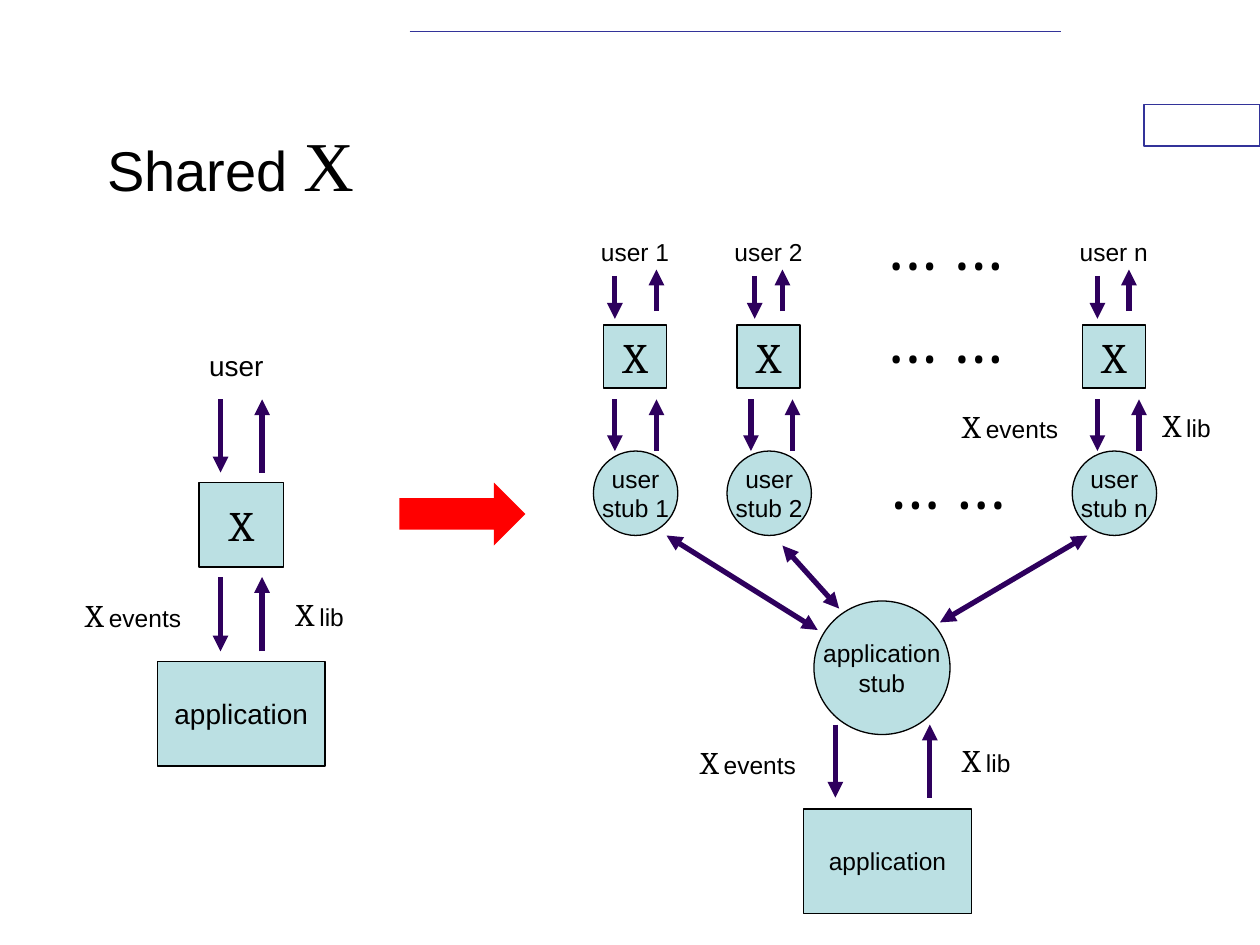
"""Build the Shared X slide: one user beside many users of one application."""
import pptx
import pptx.util
import pptx.dml.color
import pptx.enum.shapes
import pptx.enum.text
import pptx.oxml.xmlchemy

Inches = pptx.util.Inches
RGBColor = pptx.dml.color.RGBColor
Shape = pptx.enum.shapes.MSO_SHAPE
Align = pptx.enum.text.PP_ALIGN
Anchor = pptx.enum.text.MSO_ANCHOR
Element = pptx.oxml.xmlchemy.OxmlElement

BLACK = RGBColor(0x00, 0x00, 0x00)
WHITE = RGBColor(0xFF, 0xFF, 0xFF)
TEAL = RGBColor(0xBB, 0xE0, 0xE3)
NAVY = RGBColor(0x33, 0x33, 0x99)
PLUM = RGBColor(0x2E, 0x00, 0x5D)
RED = RGBColor(0xFF, 0x00, 0x00)


def style(font, size, face):
    """Set size, face and black on a font."""
    font.size = pptx.util.Pt(size)
    font.name = face
    font.color.rgb = BLACK


def write(frame, text, size, face, align=Align.CENTER):
    """Write plain text in one font without wrapping."""
    frame.word_wrap = False
    frame.text = text
    for para in frame.paragraphs:
        para.alignment = align
        style(para.font, size, face)


def blend(para, parts):
    """Add runs of differing fonts to a paragraph."""
    for text, size, face in parts:
        run = para.add_run()
        run.text = text
        style(run.font, size, face)


def solid(shapes, kind, box, fill, line=None):
    """Add a filled shape with an optional thin outline."""
    shape = shapes.add_shape(kind, *map(Inches, box))
    shape.shadow.inherit = False
    shape.fill.solid()
    shape.fill.fore_color.rgb = fill
    if line is None:
        shape.line.fill.background()
    else:
        shape.line.color.rgb = line
        shape.line.width = pptx.util.Pt(0.75)
    return shape


def node(shapes, kind, box, text, size=14, face="Arial"):
    """Add a teal shape with centred text."""
    frame = solid(shapes, kind, box, TEAL, BLACK).text_frame
    frame.vertical_anchor = Anchor.MIDDLE
    write(frame, text, size, face)


def area(shapes, box):
    """Add a text box that fits its text and return its frame."""
    frame = shapes.add_textbox(*map(Inches, box)).text_frame
    frame.word_wrap = False
    frame.auto_size = pptx.enum.text.MSO_AUTO_SIZE.SHAPE_TO_FIT_TEXT
    return frame


def label(shapes, box, text, size=14):
    """Add a centred label."""
    write(area(shapes, box), text, size, "Arial")


def flow(shapes, left, top, word, width):
    """Add a label naming what X sends or receives."""
    para = area(shapes, (left, top, width, 0.4)).paragraphs[0]
    blend(para, [("X", 18, "Cambria"), (" ", 14, "Cambria"), (word, 14, "Arial")])


def dots(shapes, left, top):
    """Add the dots that stand for further users."""
    frame = area(shapes, (left, top, 1.45, 0.43))
    write(frame, "… …", 40, "Cambria", Align.LEFT)
    frame.paragraphs[0].line_spacing = 0.5


def rule(shapes, start, end, color, width, ends=()):
    """Add a straight line with arrowheads at the named ends."""
    kind = pptx.enum.shapes.MSO_CONNECTOR.STRAIGHT
    line = shapes.add_connector(kind, *map(Inches, start + end))
    line.line.color.rgb = color
    line.line.width = pptx.util.Pt(width)
    props = line._element.spPr
    stroke = props.get_or_add_ln()
    for name in ends:
        tip = Element(f"a:{name}")
        tip.set("type", "triangle")
        stroke.append(tip)
    props.append(Element("a:effectLst"))


def arrow(shapes, start, end):
    """Add a one-way arrow."""
    rule(shapes, start, end, PLUM, 3, ["tailEnd"])


def link(shapes, start, end):
    """Add a two-way arrow."""
    rule(shapes, start, end, PLUM, 3, ["headEnd", "tailEnd"])


def pair(shapes, down, rise, top, base):
    """Add a down arrow and an up arrow of equal length."""
    arrow(shapes, (down, top), (down, base))
    arrow(shapes, (rise, base), (rise, top))


def single(shapes):
    """Draw one user with one application."""
    label(shapes, (1.56, 2.72, 0.63, 0.37), "user", 16)
    node(shapes, Shape.RECTANGLE, (1.58, 3.83, 0.67, 0.67), "X", 24, "Cambria")
    node(shapes, Shape.RECTANGLE, (1.25, 5.25, 1.33, 0.83), "application", 16)
    for top, base in [(3.17, 3.75), (4.58, 5.17)]:
        pair(shapes, 1.75, 2.08, top, base)
    flow(shapes, 0.58, 4.68, "events", 1)
    flow(shapes, 2.25, 4.67, "lib", 0.62)


def column(shapes, tag, mid, tops, lows):
    """Draw one user, its X and its stub around a middle line."""
    label(shapes, (mid - 0.37, 1.83, 0.74, 0.33), f"user {tag}")
    down, rise = tops
    arrow(shapes, (down, 2.19), (down, 2.53))
    arrow(shapes, (rise, 2.47), (rise, 2.14))
    node(shapes, Shape.RECTANGLE, (mid - 0.25, 2.58, 0.5, 0.5), "X", 24, "Cambria")
    pair(shapes, *lows, 3.17, 3.58)
    node(shapes, Shape.OVAL, (mid - 0.33, 3.58, 0.67, 0.67), f"user\vstub {tag}")


def shared(shapes):
    """Draw many users that share one application."""
    column(shapes, "1", 5.04, (4.88, 5.21), (4.88, 5.21))
    column(shapes, "2", 6.1, (5.99, 6.21), (5.96, 6.29))
    column(shapes, "n", 8.84, (8.71, 8.96), (8.71, 9.04))
    for left, top in [(6.92, 1.83), (6.92, 2.57), (6.94, 3.73)]:
        dots(shapes, left, top)
    node(shapes, Shape.OVAL, (6.46, 4.77, 1.08, 1.06), "application\nstub")
    link(shapes, (6.49, 5), (5.29, 4.25))
    link(shapes, (6.66, 4.83), (6.21, 4.33))
    link(shapes, (7.46, 4.94), (8.63, 4.25))
    pair(shapes, 6.63, 7.38, 5.75, 6.33)
    node(shapes, Shape.RECTANGLE, (6.38, 6.42, 1.33, 0.83), "application")
    for left, top in [(7.54, 3.18), (5.46, 5.85)]:
        flow(shapes, left, top, "events", 1)
    for left, top in [(9.13, 3.17), (7.54, 5.83)]:
        flow(shapes, left, top, "lib", 0.62)


def head(title):
    """Place and write the title."""
    title.left, title.top = Inches(0.75), Inches(0.67)
    title.width, title.height = Inches(7.5), Inches(1.25)
    frame = title.text_frame
    frame.vertical_anchor = Anchor.MIDDLE
    para = frame.paragraphs[0]
    para.alignment = Align.LEFT
    blend(para, [("Shared ", 32, "Arial"), ("X", 40, "Times New Roman")])


def main():
    """Build and save the slide."""
    deck = pptx.Presentation()
    deck.slide_width, deck.slide_height = Inches(10), Inches(7.5)
    slide = deck.slides.add_slide(deck.slide_layouts[5])
    shapes = slide.shapes
    solid(shapes, Shape.RECTANGLE, (9.08, 0.83, 0.92, 0.33), WHITE, NAVY)
    rule(shapes, (3.25, 0.25), (8.42, 0.25), NAVY, 1)
    head(shapes.title)
    shared(shapes.add_group_shape().shapes)
    single(shapes.add_group_shape().shapes)
    solid(shapes, Shape.RIGHT_ARROW, (3.17, 3.83, 1, 0.5), RED)
    deck.save("out.pptx")


if __name__ == "__main__":
    main()
